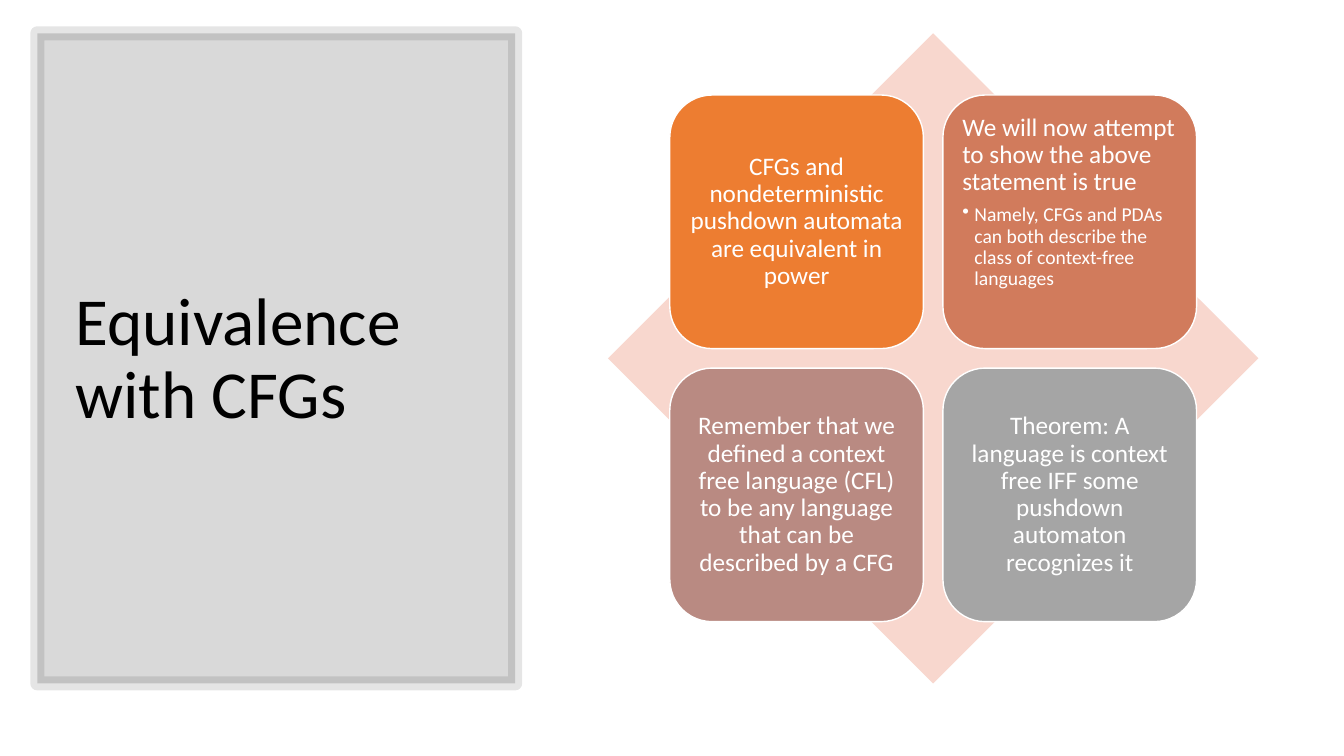
from dataclasses import dataclass

from lxml.etree import SubElement
from pptx import Presentation
from pptx.dml.color import RGBColor
from pptx.enum.shapes import MSO_SHAPE
from pptx.enum.text import MSO_ANCHOR, PP_ALIGN
from pptx.oxml.ns import qn
from pptx.util import Inches, Pt

PAGE_WIDTH = Inches(13.33)
PAGE_HEIGHT = Inches(7.5)


@dataclass(frozen=True)
class Theme:
    font: str = "Calibri"
    ink: str = "000000"
    paper: str = "FFFFFF"
    diamond: str = "F8D7CE"
    orange: str = "ED7D31"
    terracotta: str = "D17B5C"
    rose: str = "B98A82"
    grey: str = "A5A5A5"
    title_size: float = 48
    card_size: float = 18
    detail_size: float = 14
    panel_opacity: int = 15
    frame_opacity: int = 10
    frame_width: float = 10
    line_spacing: float = 0.9


@dataclass(frozen=True)
class Area:
    """A rectangle in percent of the slide's width and height."""
    left: float
    top: float
    width: float
    height: float

    def emu(self) -> tuple[int, int, int, int]:
        return (int(PAGE_WIDTH * self.left / 100), int(PAGE_HEIGHT * self.top / 100),
                int(PAGE_WIDTH * self.width / 100), int(PAGE_HEIGHT * self.height / 100))


@dataclass(frozen=True)
class Card:
    row: int
    column: int
    color: str
    statement: str
    detail: str = ""


THEME = Theme()
PANEL = Area(2.78, 4.4, 35.56, 86)
TITLE = Area(4.88, 9.33, 31.21, 76.67)
DIAMOND = Area(45.24, 4.4, 48.39, 86)

# Card grid as shares of the diamond's side
CARD_OFFSET, CARD_SIDE, CARD_STEP = 0.095, 0.39, 0.42

CARDS = [
    Card(0, 0, THEME.orange,
         "CFGs and nondeterministic pushdown automata are equivalent in power"),
    Card(0, 1, THEME.terracotta,
         "We will now attempt to show the above statement is true",
         "Namely, CFGs and PDAs can both describe the class of context-free languages"),
    Card(1, 0, THEME.rose,
         "Remember that we defined a context free language (CFL) to be any language "
         "that can be described by a CFG"),
    Card(1, 1, THEME.grey,
         "Theorem: A language is context free IFF some pushdown automaton recognizes it"),
]


def set_opacity(fill, percent: int) -> None:
    color = fill._xPr.find(qn("a:solidFill"))[0]
    SubElement(color, qn("a:alpha")).set("val", str(percent * 1000))


def add_block(page, kind, bounds, color: str, line_color: str = "", line_width: float = 1):
    block = page.shapes.add_shape(kind, *bounds)
    block.shadow.inherit = False
    block.fill.solid()
    block.fill.fore_color.rgb = RGBColor.from_string(color)
    if line_color:
        block.line.color.rgb = RGBColor.from_string(line_color)
        block.line.width = Pt(line_width)
    else:
        block.line.fill.background()
    return block


def format_paragraph(para, size: float, color: str, align=PP_ALIGN.LEFT) -> None:
    para.alignment = align
    para.line_spacing = THEME.line_spacing
    for span in para.runs:
        span.font.name = THEME.font
        span.font.size = Pt(size)
        span.font.color.rgb = RGBColor.from_string(color)


def add_bullet(para) -> None:
    properties = para._p.get_or_add_pPr()
    indent = Inches(0.12)
    properties.set("marL", str(indent))
    properties.set("indent", str(-indent))
    SubElement(properties, qn("a:buChar")).set("char", "•")


def add_title_panel(page) -> None:
    panel = add_block(page, MSO_SHAPE.RECTANGLE, PANEL.emu(), THEME.ink,
                      THEME.ink, THEME.frame_width)
    set_opacity(panel.fill, THEME.panel_opacity)
    set_opacity(panel.line.fill, THEME.frame_opacity)
    frame = page.shapes.add_textbox(*TITLE.emu()).text_frame
    frame.word_wrap = True
    frame.vertical_anchor = MSO_ANCHOR.MIDDLE
    frame.text = "Equivalence with CFGs"
    format_paragraph(frame.paragraphs[0], THEME.title_size, THEME.ink)


def add_card(page, card: Card) -> None:
    left, top, side, _ = DIAMOND.emu()
    bounds = (int(left + side * (CARD_OFFSET + card.column * CARD_STEP)),
              int(top + side * (CARD_OFFSET + card.row * CARD_STEP)),
              int(side * CARD_SIDE), int(side * CARD_SIDE))
    box = add_block(page, MSO_SHAPE.ROUNDED_RECTANGLE, bounds, card.color, THEME.paper)
    frame = box.text_frame
    frame.word_wrap = True
    frame.margin_left = frame.margin_right = Inches(0.07)
    frame.margin_top = frame.margin_bottom = Inches(0.07)
    frame.vertical_anchor = MSO_ANCHOR.TOP if card.detail else MSO_ANCHOR.MIDDLE
    frame.text = card.statement
    align = PP_ALIGN.LEFT if card.detail else PP_ALIGN.CENTER
    format_paragraph(frame.paragraphs[0], THEME.card_size, THEME.paper, align)
    if card.detail:
        frame.paragraphs[0].space_after = Pt(THEME.card_size * 0.35)
        para = frame.add_paragraph()
        para.text = card.detail
        para.level = 1
        format_paragraph(para, THEME.detail_size, THEME.paper)
        add_bullet(para)


def main() -> None:
    deck = Presentation()
    deck.slide_width, deck.slide_height = PAGE_WIDTH, PAGE_HEIGHT
    page = deck.slides.add_slide(deck.slide_layouts[6])

    # Left: framed title
    add_title_panel(page)

    # Right: diamond with the four cards
    add_block(page, MSO_SHAPE.DIAMOND, DIAMOND.emu(), THEME.diamond)
    for card in CARDS:
        add_card(page, card)

    deck.save("out.pptx")


if __name__ == "__main__":
    main()
